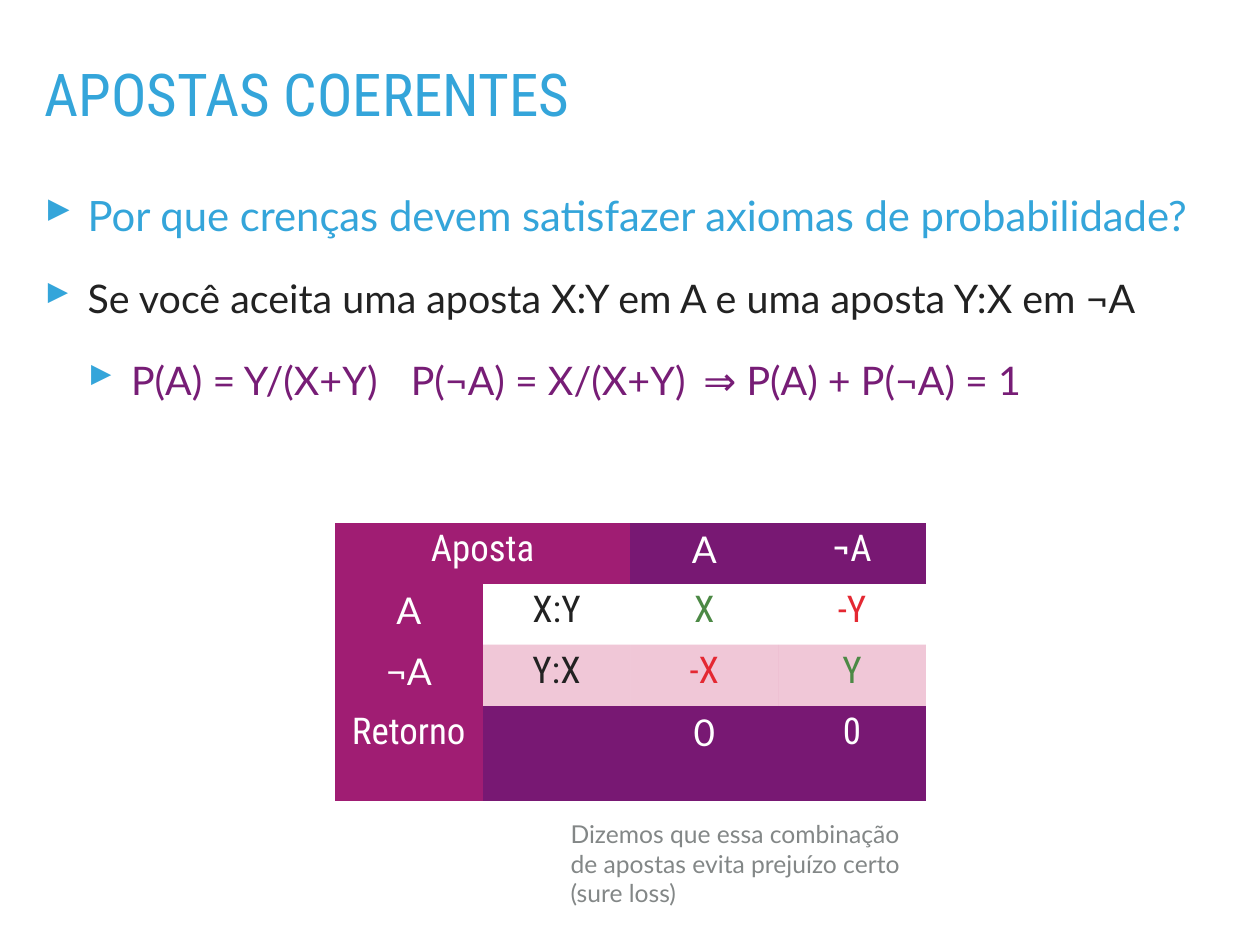
from lxml.etree import SubElement
from pptx import Presentation
from pptx.dml.color import RGBColor
from pptx.enum.text import MSO_ANCHOR, MSO_AUTO_SIZE, PP_ALIGN
from pptx.oxml.ns import qn
from pptx.util import Inches, Pt

HUES = {
    "blue": "34A5DA", "ink": "222222", "plum": "771D76", "gray": "838787",
    "white": "FFFFFF", "green": "4C8945", "red": "E42832",
    "side": "A01D73", "head": "781873", "band": "C52060",
}
LATO, ROBOTO = "Lato", "Roboto Condensed"
NO_STYLE = "{2D5ABB26-0587-4C30-8999-92F81FD0307C}"

TITLE = "APOSTAS COERENTES"
NOTE = "Dizemos que essa combinação de apostas evita prejuízo certo (sure loss)"
# level, size, colour, parts of the line, extra points of gap after each part
POINTS = [
    (0, 34, "blue", ["Por que crenças devem satisfazer axiomas de probabilidade?"], []),
    (0, 32, "ink", ["Se você aceita uma aposta X:Y em A e uma aposta Y:X em ¬A"], []),
    (1, 32, "plum",
     ["P(A) = Y/(X+Y)", "P(¬A) = X/(X+Y)", "⇒ P(A) + P(¬A) = 1"], [18.5, 6]),
]
# text, font, text colour, fill
BETS = [
    [("Aposta", ROBOTO, "white", "side"), ("", ROBOTO, "white", "side"),
     ("A", LATO, "white", "head"), ("¬A", ROBOTO, "white", "head")],
    [("A", LATO, "white", "side"), ("X:Y", ROBOTO, "ink", None),
     ("X", ROBOTO, "green", None), ("-Y", ROBOTO, "red", None)],
    [("¬A", LATO, "white", "side"), ("Y:X", ROBOTO, "ink", "band"),
     ("-X", ROBOTO, "red", "band"), ("Y", ROBOTO, "green", "band")],
    [("Retorno", ROBOTO, "white", "side"), ("", ROBOTO, "white", "head"),
     ("0", LATO, "white", "head"), ("0", ROBOTO, "white", "head")],
]
HIGH = [0.69, 0.69, 0.69, 1.08]
WIDE = 6.67 / 4


def style(run, size, face, hue):
    font = run.font
    font.size, font.name, font.bold = Pt(size), face, False
    font.color.rgb = RGBColor.from_string(HUES[hue])


def frame(shape, anchor):
    """Set margins, wrapping and anchor, and return the text frame."""
    text = shape.text_frame
    text.word_wrap = True
    text.auto_size = MSO_AUTO_SIZE.NONE
    text.vertical_anchor = anchor
    text.margin_left = text.margin_right = Inches(0.06)
    text.margin_top = text.margin_bottom = Inches(0.06)
    return text


def bullet(para, level):
    props = para._p.get_or_add_pPr()
    left = Inches(0.49)
    props.set("marL", str(left * (level + 1)))
    props.set("indent", str(-left))
    tint = SubElement(props, qn("a:buClr"))
    SubElement(tint, qn("a:srgbClr"), val=HUES["blue"])
    SubElement(props, qn("a:buSzPct"), val="105000")
    SubElement(props, qn("a:buChar"), char="▸")


def add_title(slide):
    title = slide.shapes.title
    title.left, title.top = Inches(0.44), Inches(0.74)
    title.width, title.height = Inches(13.33), Inches(0.79)
    text = frame(title, MSO_ANCHOR.TOP)
    text.text = TITLE
    para = text.paragraphs[0]
    para.alignment = PP_ALIGN.LEFT
    para.line_spacing = 0.8
    para.space_before = Pt(0)
    style(para.runs[0], 48, ROBOTO, "blue")


def add_points(slide):
    box = slide.shapes.add_textbox(
        Inches(0.44), Inches(2.08), Inches(13.33), Inches(6.68))
    text = frame(box, MSO_ANCHOR.TOP)
    for i, (level, size, hue, parts, gaps) in enumerate(POINTS):
        para = text.add_paragraph() if i else text.paragraphs[0]
        para.level = level
        bullet(para, level)
        para.space_before = Pt(28 if i else 0)
        for j, part in enumerate(parts):
            if j:
                space = para.add_run()
                space.text = " "
                style(space, size, LATO, hue)
                space.font._element.set("spc", str(int(gaps[j - 1] * 100)))
            run = para.add_run()
            run.text = part
            style(run, size, LATO, hue)


def fill_cell(cell, words, face, hue, back):
    cell.margin_left = cell.margin_right = Inches(0.06)
    cell.margin_top = cell.margin_bottom = Inches(0.05)
    if back:
        cell.fill.solid()
        cell.fill.fore_color.rgb = RGBColor.from_string(HUES[back])
    else:
        cell.fill.background()
    if back == "band":
        tint = cell._tc.tcPr.find(".//" + qn("a:srgbClr"))
        SubElement(tint, qn("a:alpha"), val="25000")
    if words:
        cell.text_frame.text = words
        para = cell.text_frame.paragraphs[0]
        para.alignment = PP_ALIGN.CENTER
        style(para.runs[0], 30, face, hue)


def add_bets(slide):
    table = slide.shapes.add_table(
        len(BETS), len(BETS[0]), Inches(3.78), Inches(5.9),
        Inches(WIDE * 4), Inches(sum(HIGH))).table
    table.first_row = table.horz_banding = False
    table._tbl.tblPr.find(qn("a:tableStyleId")).text = NO_STYLE
    for col in table.columns:
        col.width = Inches(WIDE)
    for i, line in enumerate(BETS):
        table.rows[i].height = Inches(HIGH[i])
        for j, item in enumerate(line):
            fill_cell(table.cell(i, j), *item)
    table.cell(0, 0).merge(table.cell(0, 1))


def add_note(slide):
    box = slide.shapes.add_textbox(
        Inches(6.38), Inches(9.03), Inches(4.06), Inches(1.44))
    text = frame(box, MSO_ANCHOR.MIDDLE)
    text.text = NOTE
    style(text.paragraphs[0].runs[0], 20, LATO, "gray")


def main():
    deck = Presentation()
    deck.slide_width, deck.slide_height = Inches(14.22), Inches(10.67)
    slide = deck.slides.add_slide(deck.slide_layouts[5])
    add_points(slide)
    add_title(slide)
    add_bets(slide)
    add_note(slide)
    deck.save("out.pptx")


if __name__ == "__main__":
    main()
